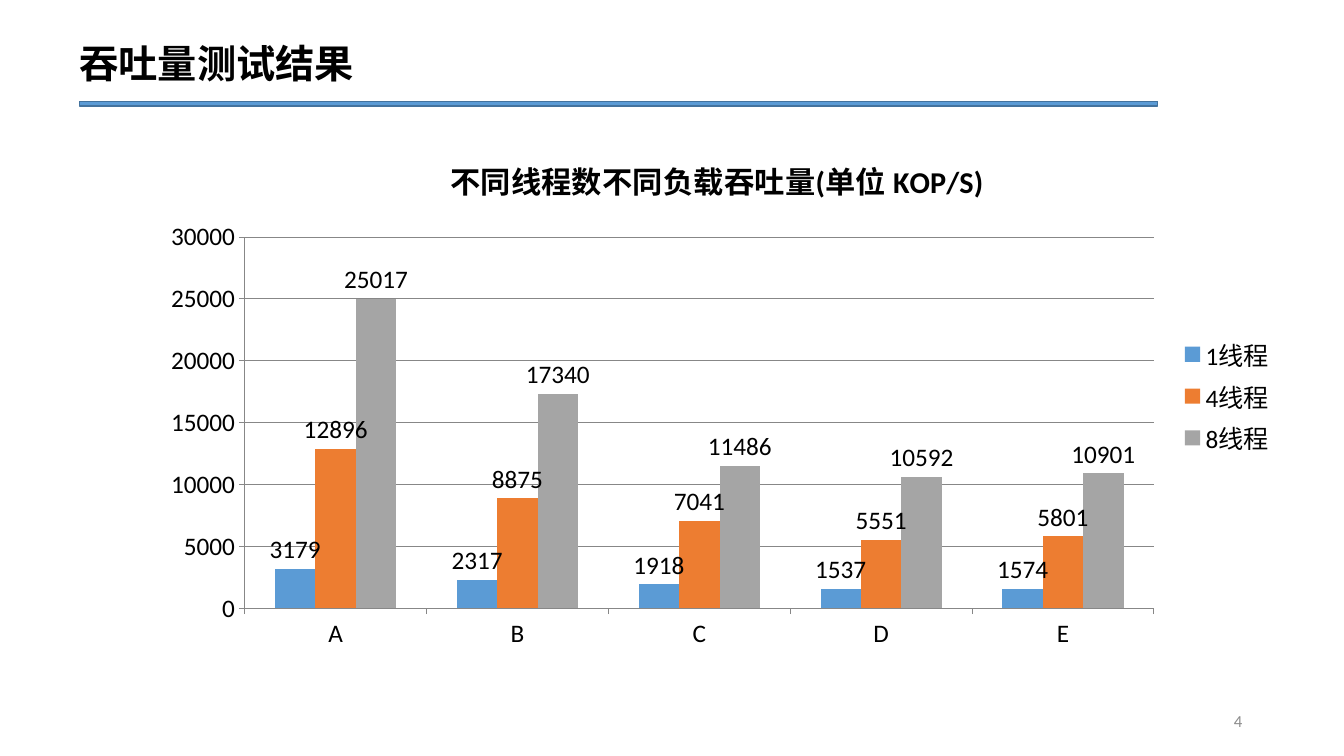
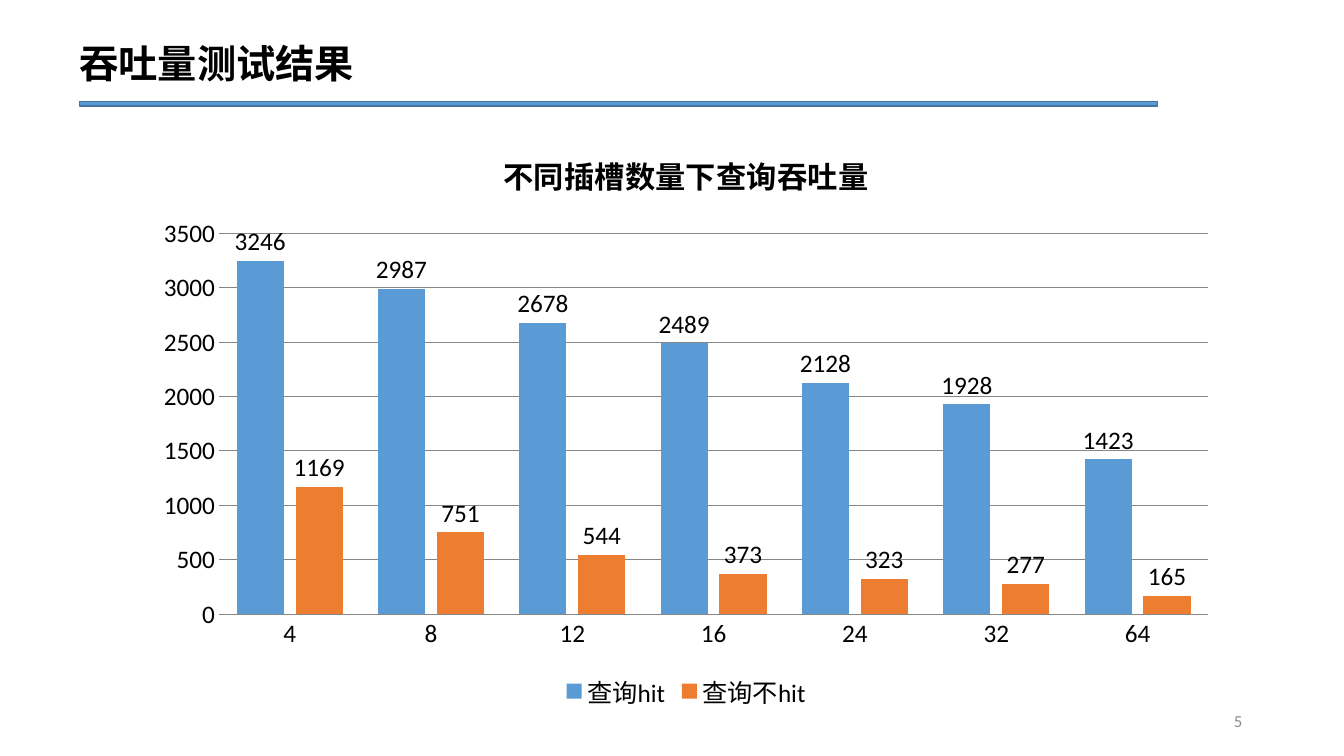
"""Build two throughput slides, each with a clustered column chart."""
from dataclasses import dataclass

from pptx import Presentation
from pptx import util as u
from pptx.chart import data
from pptx.dml import color
from pptx.enum import chart as charts
from pptx.enum import shapes, text

FONT = "Calibri"
COLORS = {
    "text": "000000",
    "number": "8C8C8C",
    "grid": "878787",
    "blue": "5B9BD5",
    "blue_line": "43739E",
    "orange": "ED7D31",
    "gray": "A5A5A5",
}
SERIES_COLORS = ("blue", "orange", "gray")
TITLE_ONLY_LAYOUT = 5


@dataclass(frozen=True)
class ChartSlide:
    """Content and chart style of one slide."""
    title: str
    number: str
    box: tuple[float, float, float, float]
    chart_title: str
    categories: tuple[str, ...]
    series: dict[str, tuple[int, ...]]
    legend: charts.XL_LEGEND_POSITION
    tick: charts.XL_TICK_MARK
    axis_line: bool
    maximum: int
    step: int
    gap: int
    overlap: int


SLIDES = (
    ChartSlide(
        title="吞吐量测试结果",
        number="4",
        box=(1.47, 1.32, 11.28, 5.22),
        chart_title="不同线程数不同负载吞吐量(单位 KOP/S)",
        categories=("A", "B", "C", "D", "E"),
        series={
            "1线程": (3179, 2317, 1918, 1537, 1574),
            "4线程": (12896, 8875, 7041, 5551, 5801),
            "8线程": (25017, 17340, 11486, 10592, 10901),
        },
        legend=charts.XL_LEGEND_POSITION.RIGHT,
        tick=charts.XL_TICK_MARK.OUTSIDE,
        axis_line=True,
        maximum=30000,
        step=5000,
        gap=150,
        overlap=0,
    ),
    ChartSlide(
        title="吞吐量测试结果",
        number="5",
        box=(1.41, 1.26, 10.79, 5.83),
        chart_title="不同插槽数量下查询吞吐量",
        categories=("4", "8", "12", "16", "24", "32", "64"),
        series={
            "查询hit": (3246, 2987, 2678, 2489, 2128, 1928, 1423),
            "查询不hit": (1169, 751, 544, 373, 323, 277, 165),
        },
        legend=charts.XL_LEGEND_POSITION.BOTTOM,
        tick=charts.XL_TICK_MARK.NONE,
        axis_line=False,
        maximum=3500,
        step=500,
        gap=75,
        overlap=-25,
    ),
)


def rgb(name: str) -> color.RGBColor:
    """Return the named colour."""
    return color.RGBColor.from_string(COLORS[name])


def inches(*lengths: float) -> list[u.Length]:
    """Convert lengths in inches."""
    return [u.Inches(length) for length in lengths]


def style_font(font, size: float, color_name: str = "text", bold: bool = False) -> None:
    """Apply the deck font with a size, colour and weight."""
    font.name = FONT
    font.size = u.Pt(size)
    font.bold = bold
    font.color.rgb = rgb(color_name)


def style_line(line, color_name: str, width: float = 0.75) -> None:
    """Apply a solid line."""
    line.color.rgb = rgb(color_name)
    line.width = u.Pt(width)


def add_title(slide, title: str) -> None:
    """Fill and place the title placeholder."""
    shape = slide.shapes.title
    shape.left, shape.top, shape.width, shape.height = inches(0.69, 0.08, 11.5, 1.05)
    frame = shape.text_frame
    frame.text = title
    frame.vertical_anchor = text.MSO_ANCHOR.MIDDLE
    paragraph = frame.paragraphs[0]
    paragraph.alignment = text.PP_ALIGN.LEFT
    paragraph.line_spacing = 1.1
    style_font(paragraph.runs[0].font, 28, bold=True)


def add_rule(slide) -> None:
    """Draw the bar below the title."""
    shape = slide.shapes.add_shape(
        shapes.MSO_SHAPE.MATH_MINUS, *inches(-1.14, 0.93, 14.55, 0.2))
    shape.shadow.inherit = False
    shape.fill.solid()
    shape.fill.fore_color.rgb = rgb("blue")
    style_line(shape.line, "blue_line", 1)


def add_number(slide, number: str) -> None:
    """Write the slide number at the lower right."""
    frame = slide.shapes.add_textbox(*inches(9.42, 6.95, 3, 0.4)).text_frame
    frame.word_wrap = True
    frame.vertical_anchor = text.MSO_ANCHOR.MIDDLE
    frame.text = number
    paragraph = frame.paragraphs[0]
    paragraph.alignment = text.PP_ALIGN.RIGHT
    style_font(paragraph.runs[0].font, 12, "number")


def style_axes(chart, content: ChartSlide) -> None:
    """Set the scale, ticks, gridlines and axis lines."""
    value_axis = chart.value_axis
    value_axis.minimum_scale = 0
    value_axis.maximum_scale = content.maximum
    value_axis.major_unit = content.step
    value_axis.has_major_gridlines = True
    style_line(value_axis.major_gridlines.format.line, "grid")
    for axis in (chart.category_axis, value_axis):
        axis.major_tick_mark = content.tick
        style_line(axis.format.line, "grid")
    if not content.axis_line:
        value_axis.format.line.fill.background()


def style_columns(plot, content: ChartSlide) -> None:
    """Set the spacing, colours and value labels of the columns."""
    plot.gap_width = content.gap
    plot.overlap = content.overlap
    plot.vary_by_categories = False
    for series, color_name in zip(plot.series, SERIES_COLORS):
        series.format.fill.solid()
        series.format.fill.fore_color.rgb = rgb(color_name)
        labels = series.data_labels
        labels.show_value = True
        labels.position = charts.XL_LABEL_POSITION.OUTSIDE_END
        style_font(labels.font, 18)


def add_column_chart(slide, content: ChartSlide) -> None:
    """Add the clustered column chart with its title and legend."""
    chart_data = data.CategoryChartData()
    chart_data.categories = content.categories
    for name, values in content.series.items():
        chart_data.add_series(name, values)
    chart = slide.shapes.add_chart(
        charts.XL_CHART_TYPE.COLUMN_CLUSTERED, *inches(*content.box), chart_data).chart
    style_font(chart.font, 18)
    chart.has_title = True
    title_frame = chart.chart_title.text_frame
    title_frame.text = content.chart_title
    style_font(title_frame.paragraphs[0].runs[0].font, 21.6, bold=True)
    chart.chart_title.include_in_layout = False
    chart.has_legend = True
    chart.legend.position = content.legend
    chart.legend.include_in_layout = False
    style_axes(chart, content)
    style_columns(chart.plots[0], content)


def add_chart_slide(presentation, content: ChartSlide) -> None:
    """Add one slide with the shared frame and its chart."""
    slide = presentation.slides.add_slide(presentation.slide_layouts[TITLE_ONLY_LAYOUT])
    add_title(slide, content.title)
    add_rule(slide)
    add_number(slide, content.number)
    add_column_chart(slide, content)


def main() -> None:
    """Build and save the presentation."""
    presentation = Presentation()
    presentation.slide_width, presentation.slide_height = inches(13.33, 7.5)
    for content in SLIDES:
        add_chart_slide(presentation, content)
    presentation.save("out.pptx")


main()
